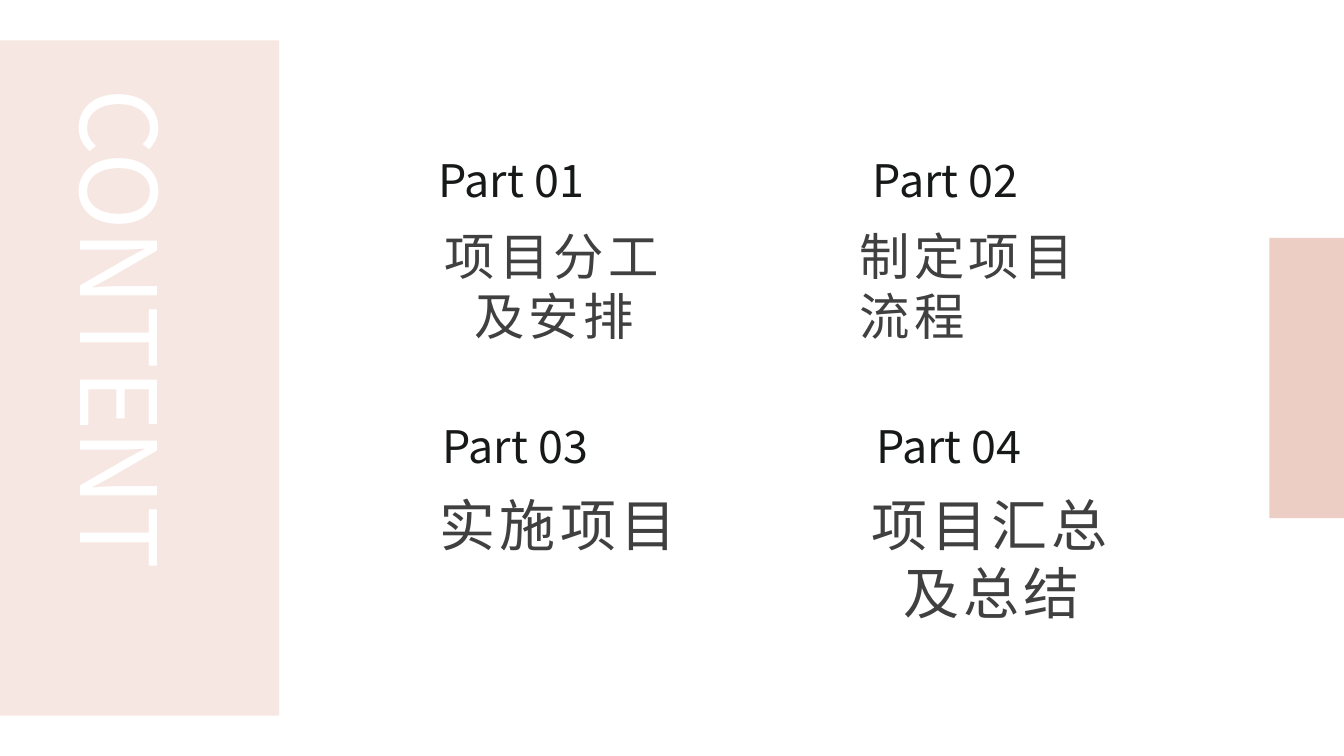
from dataclasses import dataclass

from lxml.etree import SubElement
from pptx import Presentation
from pptx.dml.color import RGBColor
from pptx.enum.shapes import MSO_SHAPE
from pptx.enum.text import MSO_ANCHOR, MSO_AUTO_SIZE, PP_ALIGN
from pptx.oxml.ns import qn
from pptx.slide import Slide
from pptx.text.text import TextFrame
from pptx.util import Inches, Pt

FONT = "Noto Sans CJK SC"
COLORS = {
    "panel": "F6E7E2",
    "accent": "ECCEC4",
    "heading": "171919",
    "topic": "404040",
    "title": "FFFFFF",
}
TOPIC_SHIFT = -0.13
TOPIC_DROP = 0.71


@dataclass(frozen=True)
class Block:
    left: float
    top: float
    width: float
    height: float
    color: str


@dataclass(frozen=True)
class Part:
    heading: str
    topic: str
    left: float
    top: float
    heading_width: float
    topic_height: float
    topic_size: int
    align: PP_ALIGN = PP_ALIGN.CENTER


BLOCKS = [
    Block(0, 0.4, 2.77, 6.7, "panel"),
    Block(12.59, 2.36, 0.74, 2.78, "accent"),
]
PARTS = [
    Part("Part 01", "项目分工及安排", 4.25, 1.47, 2.38, 1.31, 36),
    Part("Part 02", "制定项目流程", 8.56, 1.47, 2.62, 1.31, 36, PP_ALIGN.LEFT),
    Part("Part 03", "实施项目", 4.29, 4.11, 3.52, 0.77, 40),
    Part("Part 04", "项目汇总及总结", 8.59, 4.11, 3.05, 1.45, 40),
]


def write_text(frame: TextFrame, text: str, *, size: float, color: str,
               align: PP_ALIGN = PP_ALIGN.LEFT, spacing: float = 0) -> None:
    """Fill the frame with one formatted span; spacing is in points."""
    frame.word_wrap = True
    frame.auto_size = MSO_AUTO_SIZE.NONE
    frame.vertical_anchor = MSO_ANCHOR.TOP
    para = frame.paragraphs[0]
    para.alignment = align
    span = para.add_run()
    span.text = text
    span.font.size = Pt(size)
    span.font.name = FONT
    span.font.color.rgb = RGBColor.from_string(COLORS[color])
    properties = span.font._element
    SubElement(properties, qn("a:ea")).set("typeface", FONT)
    if spacing:
        properties.set("spc", str(round(spacing * 100)))


def add_block(page: Slide, block: Block) -> None:
    shape = page.shapes.add_shape(
        MSO_SHAPE.RECTANGLE, Inches(block.left), Inches(block.top),
        Inches(block.width), Inches(block.height))
    shape.shadow.inherit = False
    shape.fill.solid()
    shape.fill.fore_color.rgb = RGBColor.from_string(COLORS[block.color])
    shape.line.fill.background()


def add_part(page: Slide, part: Part) -> None:
    heading = page.shapes.add_textbox(
        Inches(part.left), Inches(part.top),
        Inches(part.heading_width), Inches(0.64))
    write_text(heading.text_frame, part.heading, size=32, color="heading")
    topic = page.shapes.add_textbox(
        Inches(part.left + TOPIC_SHIFT), Inches(part.top + TOPIC_DROP),
        Inches(2.75), Inches(part.topic_height))
    write_text(topic.text_frame, part.topic, size=part.topic_size,
               color="topic", align=part.align, spacing=3)


def add_vertical_title(page: Slide, text: str) -> None:
    """Write the title downwards by turning its box about the centre."""
    center_x, center_y, length, thickness = 1.09, 3.48, 5.2, 1.51
    title = page.shapes.title
    title.left = Inches(center_x - length / 2)
    title.top = Inches(center_y - thickness / 2)
    title.width, title.height = Inches(length), Inches(thickness)
    title.rotation = 90
    frame = title.text_frame
    frame.margin_left = frame.margin_right = 0
    frame.margin_top = frame.margin_bottom = 0
    write_text(frame, text, size=75, color="title")
    # The title is first in the layout; bring it in front of the panel.
    page.shapes._spTree.append(title._element)


def main() -> None:
    deck = Presentation()
    deck.slide_width, deck.slide_height = Inches(13.33), Inches(7.5)
    page = deck.slides.add_slide(deck.slide_layouts[5])
    for block in BLOCKS:
        add_block(page, block)
    add_vertical_title(page, "CONTENT")
    for part in PARTS:
        add_part(page, part)
    deck.save("out.pptx")


if __name__ == "__main__":
    main()
